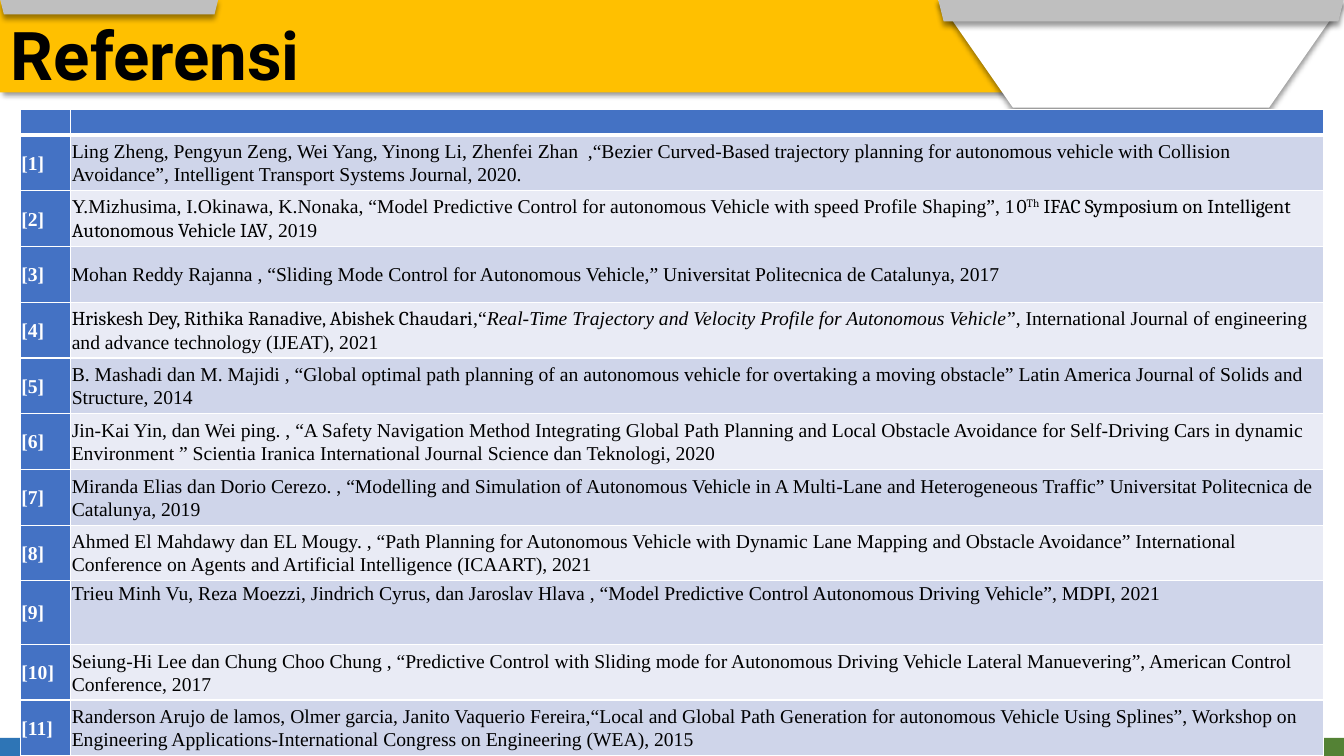
from lxml import etree
from pptx import Presentation
from pptx.dml.color import RGBColor
from pptx.enum.shapes import MSO_SHAPE
from pptx.enum.text import MSO_ANCHOR
from pptx.oxml import parse_xml
from pptx.oxml.ns import nsdecls, qn
from pptx.util import Pt

RECTANGLE = MSO_SHAPE.RECTANGLE
TRAPEZOID = MSO_SHAPE.TRAPEZOID
TOP = MSO_ANCHOR.TOP
MIDDLE = MSO_ANCHOR.MIDDLE

BLACK = RGBColor(0x00, 0x00, 0x00)
WHITE = RGBColor(0xFF, 0xFF, 0xFF)
AMBER = RGBColor(0xFF, 0xC0, 0x00)
SILVER = RGBColor(0xBF, 0xBF, 0xBF)
GRAY = RGBColor(0x80, 0x80, 0x80)
BLUE = RGBColor(0x2E, 0x75, 0xB6)
GREEN = RGBColor(0x54, 0x82, 0x35)
HEADER_BLUE = RGBColor(0x44, 0x72, 0xC4)
BANDS = (RGBColor(0xCF, 0xD5, 0xEA), RGBColor(0xE9, 0xEB, 0xF5))

SERIF = "Times New Roman"
CAMBRIA = {"font": "Cambria"}
HEADER_HEIGHT = 18
ROW_HEIGHT = 39.8
TALL_ROW, TALL_HEIGHT = 9, 45.4

REFERENCES = [
    [("Ling Zheng, Pengyun Zeng, Wei Yang, Yinong Li, Zhenfei Zhan  ,“Bezier Curved-Based trajectory planning for "
      "autonomous vehicle with Collision Avoidance”, Intelligent Transport Systems Journal, 2020.", {})],
    [("Y.Mizhusima, I.Okinawa, K.Nonaka, “Model Predictive Control for autonomous Vehicle with speed Profile "
      "Shaping”, 1", {}),
     ("0", CAMBRIA),
     ("Th", {"font": "Cambria", "superscript": True}),
     (" IFAC Symposium on Intelligent Autonomous Vehicle IAV", CAMBRIA),
     (", 2019", {})],
    [("Mohan Reddy Rajanna , “Sliding Mode Control for Autonomous Vehicle,” Universitat Politecnica de Catalunya, "
      "2017", {})],
    [("Hriskesh Dey, Rithika Ranadive, Abishek Chaudari", CAMBRIA),
     (",“", {}),
     ("Real-Time Trajectory and Velocity Profile for Autonomous Vehicle", {"italic": True}),
     ("”, International Journal of engineering and advance technology (IJEAT), 2021", {})],
    [("B. Mashadi dan M. Majidi , “Global optimal path planning of an autonomous vehicle for overtaking a moving "
      "obstacle” Latin America Journal of Solids and Structure, 2014", {})],
    [("Jin-Kai Yin, dan Wei ping. , “A Safety Navigation Method Integrating Global Path Planning and Local Obstacle "
      "Avoidance for Self-Driving Cars in dynamic Environment ” Scientia Iranica International Journal Science dan "
      "Teknologi, 2020", {})],
    [("Miranda Elias dan Dorio Cerezo. , “Modelling and Simulation of Autonomous Vehicle in A Multi-Lane and "
      "Heterogeneous Traffic” Universitat Politecnica de Catalunya, 2019", {})],
    [("Ahmed El Mahdawy dan EL Mougy. , “Path Planning for Autonomous Vehicle with Dynamic Lane Mapping and Obstacle "
      "Avoidance” International Conference on Agents and Artificial Intelligence (ICAART), 2021", {})],
    [("Trieu Minh Vu, Reza Moezzi, Jindrich Cyrus, dan Jaroslav Hlava , “Model Predictive Control Autonomous Driving "
      "Vehicle”, MDPI, 2021", {})],
    [("Seiung-Hi Lee dan Chung Choo Chung , “Predictive Control with Sliding mode for Autonomous Driving Vehicle "
      "Lateral Manuevering”, American Control Conference, 2017", {})],
    [("Randerson Arujo de lamos, Olmer garcia, Janito Vaquerio Fereira,“Local and Global Path Generation for "
      "autonomous Vehicle Using Splines”, Workshop on Engineering Applications-International Congress on Engineering "
      "(WEA), 2015", {})],
]


def write(paragraph, text, font=SERIF, size=14, color=BLACK, bold=False, italic=False, superscript=False):
    run = paragraph.add_run()
    run.text = text
    run.font.name = font
    run.font.size = Pt(size)
    run.font.color.rgb = color
    run.font.bold = bold
    run.font.italic = italic
    if superscript:
        run.font._element.set("baseline", "30000")


class ReferenceSlide:
    def __init__(self, slide):
        self.slide = slide

    def shape(self, kind, left, top, width, height, color, slant=None, shadow_angle=None):
        shape = self.slide.shapes.add_shape(kind, Pt(left), Pt(top), Pt(width), Pt(height))
        shape.shadow.inherit = False
        shape.fill.solid()
        shape.fill.fore_color.rgb = color
        shape.line.fill.background()
        properties = shape.element.spPr
        if slant is not None:
            shape.adjustments[0] = slant
            properties.xfrm.set("flipV", "1")
        if shadow_angle is not None:
            properties.find(qn("a:effectLst")).append(parse_xml(
                f'<a:outerShdw {nsdecls("a")} blurRad="{Pt(4)}" dist="{Pt(3)}" dir="{shadow_angle * 60000}" '
                'algn="t" rotWithShape="0"><a:srgbClr val="000000"><a:alpha val="40000"/></a:srgbClr></a:outerShdw>'))

    def title(self, text, left, top, width, height):
        box = self.slide.shapes.add_textbox(Pt(left), Pt(top), Pt(width), Pt(height))
        box.text_frame.word_wrap = False
        write(box.text_frame.paragraphs[0], text, font="Roboto", size=48, bold=True)

    def cell(self, cell, runs, color, anchor=MIDDLE, top_line=1, bottom_line=1):
        cell.margin_left = cell.margin_right = cell.margin_top = cell.margin_bottom = Pt(0.7)
        cell.vertical_anchor = anchor
        properties = cell._tc.get_or_add_tcPr()
        for side, width in (("L", 1), ("R", 1), ("T", top_line), ("B", bottom_line)):
            properties.append(parse_xml(
                f'<a:ln{side} {nsdecls("a")} w="{Pt(width)}"><a:solidFill><a:srgbClr val="{WHITE}"/>'
                f'</a:solidFill></a:ln{side}>'))
        cell.fill.solid()
        cell.fill.fore_color.rgb = color
        paragraph = cell.text_frame.paragraphs[0]
        if not runs:
            etree.SubElement(paragraph._p, qn("a:endParaRPr")).set("sz", "800")
            return
        paragraph.line_spacing = 1.07
        paragraph.space_after = Pt(8)
        for text, style in runs:
            write(paragraph, text, **style)

    def table(self, references, left, top, widths):
        heights = [HEADER_HEIGHT] + [ROW_HEIGHT] * len(references)
        heights[TALL_ROW] = TALL_HEIGHT
        table = self.slide.shapes.add_table(
            len(heights), len(widths), Pt(left), Pt(top), Pt(sum(widths)), Pt(sum(heights))).table
        for column, width in zip(table.columns, widths):
            column.width = Pt(width)
        for row, height in zip(table.rows, heights):
            row.height = Pt(height)
        for header in table.rows[0].cells:
            self.cell(header, [], HEADER_BLUE, bottom_line=3)
        for number, reference in enumerate(references, 1):
            top_line = 3 if number == 1 else 1
            label = [(f"[{number}]", {"color": WHITE, "bold": True})]
            self.cell(table.cell(number, 0), label, HEADER_BLUE, top_line=top_line)
            self.cell(table.cell(number, 1), reference, BANDS[(number - 1) % 2],
                      anchor=TOP if number == TALL_ROW else MIDDLE, top_line=top_line)


def main():
    presentation = Presentation()
    presentation.slide_width = Pt(960)
    presentation.slide_height = Pt(540)
    page = ReferenceSlide(presentation.slides.add_slide(presentation.slide_layouts[6]))

    page.shape(RECTANGLE, 0, 0, 876, 66, AMBER, shadow_angle=45)
    page.title("Referensi", 0.7, 5.8, 523.4, 64.8)
    page.shape(TRAPEZOID, 670, 0, 290, 77, WHITE, slant=0.696, shadow_angle=90)
    page.shape(TRAPEZOID, 670, -0.7, 290, 16, SILVER, slant=0.25, shadow_angle=90)
    page.shape(TRAPEZOID, 0, -0.7, 156, 11, SILVER, slant=0.25, shadow_angle=90)
    for left, width, color in ((0, 342, BLUE), (342, 276, GRAY), (618, 342, GREEN)):
        page.shape(RECTANGLE, left, 527, width, 13, color)
    page.table(REFERENCES, 14.6, 78.5, (36, 895))
    presentation.save("out.pptx")


if __name__ == "__main__":
    main()
